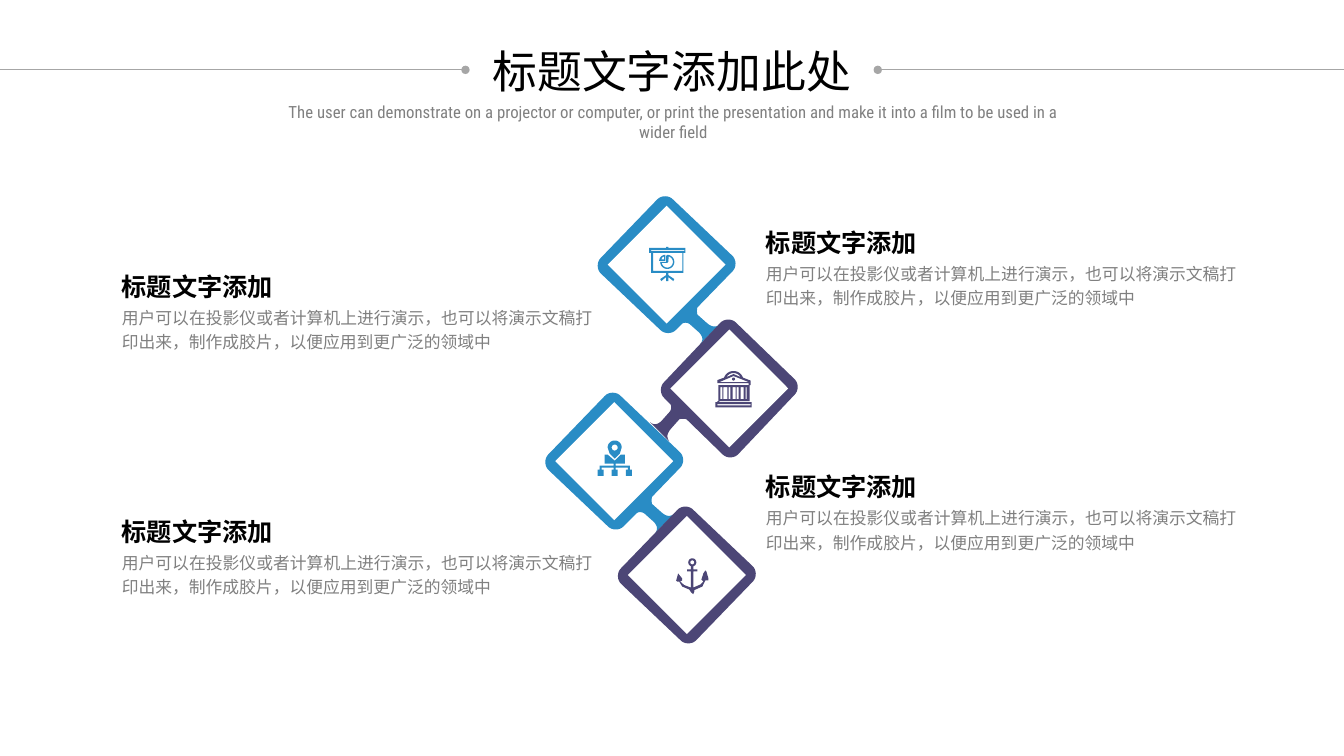
from dataclasses import dataclass
from math import cos, radians, sin
from typing import Optional

from lxml.etree import SubElement
from pptx import Presentation
from pptx.dml.color import RGBColor
from pptx.enum.shapes import MSO_CONNECTOR, MSO_SHAPE
from pptx.enum.text import MSO_AUTO_SIZE as AutoSize, PP_ALIGN as Align
from pptx.oxml.ns import qn
from pptx.util import Cm, Pt

COLORS = {
    "blue": "298CC5", "purple": "4C4676", "white": "FFFFFF",
    "rule": "A6A6A6", "heading": "000000", "body": "808080",
}
UNIT = Cm(2.54) / 100
DIAMOND = Cm(2.97)
SUBTITLE = ("The user can demonstrate on a projector or computer, or print the presentation "
            "and make it into a film to be used in a wider field")
HEADING = "标题文字添加"
BODY = "用户可以在投影仪或者计算机上进行演示，也可以将演示文稿打印出来，制作成胶片，以便应用到更广泛的领域中"

Point = tuple[float, float]
Contour = list[Point]


@dataclass
class Link:
    color: str
    x: float
    y: float
    icon: list[Contour]
    icon_x: float
    icon_y: float
    neck_slide: Optional[float] = None
    quarter_turn: bool = False


@dataclass
class TextStyle:
    size: int
    font: str
    color: str
    align: Align
    bold: bool = False
    spacing: Optional[float] = None
    wrap: bool = True


@dataclass
class Caption:
    x: float
    y: float


@dataclass
class Rule:
    start: float
    dot: float


def rect(left: float, top: float, right: float, bottom: float) -> Contour:
    return [(left, top), (right, top), (right, bottom), (left, bottom)]


def arc(x: float, y: float, radius: float, start: int, end: int) -> Contour:
    return [(x + radius * cos(radians(start + (end - start) * i / 24)),
             y + radius * sin(radians(start + (end - start) * i / 24))) for i in range(25)]


def circle(x: float, y: float, radius: float) -> Contour:
    return arc(x, y, radius, 0, 360)


def bezier(a: Point, b: Point, c: Point, d: Point) -> Contour:
    weights = [((1 - t) ** 3, 3 * t * (1 - t) ** 2, 3 * t * t * (1 - t), t ** 3)
               for t in (i / 8 for i in range(9))]
    return [(sum(w * p[0] for w, p in zip(ws, (a, b, c, d))),
             sum(w * p[1] for w, p in zip(ws, (a, b, c, d)))) for ws in weights]


def frame_outline(link: Link) -> Contour:
    corners = [
        bezier((6.5, -64.5), (2.5, -69), (-5.5, -69), (-9.5, -64.5)),
        bezier((-65.5, -6.5), (-69.5, -2.5), (-69.5, 5.5), (-64.5, 9.5)),
    ]
    half = corners[0] + corners[1]
    outline = half + [(-x, -y) for x, y in half]
    if link.neck_slide is not None:
        neck = (bezier((15.5, 58.5), (17.5, 57), (21.5, 57.5), (23.5, 59.5))
                + bezier((32.5, 67.5), (36, 71.5), (36.5, 75), (33.5, 78.5))
                + bezier((52.5, 59.5), (48.5, 62.5), (44.5, 62), (39.5, 57.5))
                + bezier((30.5, 49.5), (30, 47.5), (30, 44.5), (30.5, 42.5)))
        slid = [(x + link.neck_slide, y - link.neck_slide) for x, y in neck]
        split = len(half) + len(corners[0])
        outline = outline[:split] + slid + outline[split:]
        outline = bottom_right_neck(half, slid)
    return [(-y, x) for x, y in outline] if link.quarter_turn else outline


def bottom_right_neck(half: Contour, neck: Contour) -> Contour:
    opposite = [(-x, -y) for x, y in half]
    middle = len(half) // 2
    return half + opposite[:middle] + neck + opposite[middle:]


def screen_icon() -> list[Contour]:
    return [
        rect(17, 0, 19, 1), rect(0, 1, 36, 6), rect(2, 3, 35, 4),
        rect(2, 6, 34, 26), rect(4, 6, 33, 24),
        [(17, 26), (19, 26), (19, 28), (25, 32), (24, 34), (19, 30),
         (19, 34), (17, 34), (17, 30), (12, 34), (11, 32), (17, 28)],
        arc(18, 15, 7, -90, 180) + [(17, 15), (17, 9)],
        arc(18, 15, 5.6, -75, 170) + [(18, 16), (19, 15)],
        arc(16, 14, 6, 180, 270) + [(16, 14)],
        [(15, 9.5), (15, 12.5), (12, 12.5), (13, 10.5)],
    ]


def network_icon() -> list[Contour]:
    feet = [part for x in (0, 14, 28)
            for part in (rect(x, 29, x + 6, 35), rect(x + 2, 27, x + 4, 29))]
    return feet + [
        arc(17, 7, 7, 180, 360) + [(22, 13), (17, 18), (12, 13)], circle(17, 7, 3),
        [(7, 14), (10, 14), (17, 20), (23, 14), (27, 14), (27, 23), (7, 23)],
        rect(16, 23, 18, 25), rect(2, 25, 32, 27),
    ]


def museum_icon() -> list[Contour]:
    gaps = [(5, 7), (8, 12), (13, 15), (17, 20), (21, 23), (25, 28), (30, 31)]
    return [rect(left, 16, right, 28) for left, right in gaps] + [
        arc(18, 10, 10, 200, 340) + [(35, 9.5), (35, 12), (2, 12), (2, 9)],
        arc(18, 10, 8, 210, 330) + [(18, 3)],
        [(4, 11), (18, 5), (33, 11)], circle(18, 8, 1.5),
        rect(33, 12, 35, 14), rect(3, 14, 34, 30), rect(2, 30, 4, 31),
        rect(0, 31, 36, 36), rect(2, 33, 35, 34),
    ]


def anchor_icon() -> list[Contour]:
    arms = [(1, 23), (0, 22), (2, 15), (6, 20), (6, 22), (4, 23), (8, 26.5), (14.5, 29),
            (17, 29), (24, 26), (27, 23), (25, 21), (27, 15), (29, 12), (30, 13),
            (32, 20), (32, 22), (29, 22), (26, 28), (18, 31.5), (18, 33), (17, 35.5),
            (15, 34), (13, 31), (6, 28), (3, 23)]
    return [circle(16, 4, 4), circle(16, 4, 2), rect(14.5, 8, 17, 29),
            rect(11, 11, 14.5, 13), rect(17, 11, 21, 13), arms]


def paint(shape, color: str) -> None:
    shape.shadow.inherit = False
    shape.fill.solid()
    shape.fill.fore_color.rgb = RGBColor.from_string(COLORS[color])
    shape.line.fill.background()


def draw_contours(shapes, contours: list[Contour], x: float, y: float, color: str) -> None:
    placed = [[(Cm(x) + px * UNIT, Cm(y) + py * UNIT) for px, py in c] for c in contours]
    builder = shapes.build_freeform(*placed[0][0], scale=1.0)
    builder.add_line_segments(placed[0][1:], close=True)
    for contour in placed[1:]:
        builder.move_to(*contour[0])
        builder.add_line_segments(contour[1:], close=True)
    paint(builder.convert_to_shape(), color)


def draw_diamond(shapes, link: Link) -> None:
    left, top = Cm(link.x) - DIAMOND // 2, Cm(link.y) - DIAMOND // 2
    paint(shapes.add_shape(MSO_SHAPE.DIAMOND, left, top, DIAMOND, DIAMOND), "white")


def draw_rule(shapes, rule: Rule) -> None:
    line = shapes.add_connector(MSO_CONNECTOR.STRAIGHT, Cm(rule.start), Cm(1.76),
                                Cm(rule.dot), Cm(1.76))
    line.line.color.rgb = RGBColor.from_string(COLORS["rule"])
    line.line.width = Pt(0.5)
    SubElement(line.line._get_or_add_ln(), qn("a:tailEnd"), type="oval")
    SubElement(line._element.spPr, qn("a:effectLst"))


def draw_text(shapes, text: str, x: float, y: float, width: float, height: float,
              style: TextStyle) -> None:
    frame = shapes.add_textbox(Cm(x), Cm(y), Cm(width), Cm(height)).text_frame
    frame.word_wrap = style.wrap
    frame.auto_size = AutoSize.SHAPE_TO_FIT_TEXT
    paragraph = frame.paragraphs[0]
    paragraph.text = text
    paragraph.alignment = style.align
    paragraph.line_spacing = style.spacing
    font = paragraph.font
    font.name, font.size, font.bold = style.font, Pt(style.size), style.bold
    font.color.rgb = RGBColor.from_string(COLORS[style.color])


TITLE_STYLE = TextStyle(32, "Roboto Condensed", "heading", Align.CENTER, wrap=False)
SUBTITLE_STYLE = TextStyle(12, "Roboto Condensed", "body", Align.CENTER)
HEADING_STYLE = TextStyle(18, "Arial", "heading", Align.JUSTIFY, bold=True, spacing=1.2)
BODY_STYLE = TextStyle(12, "Arial", "body", Align.JUSTIFY, spacing=1.2)
LINKS = [
    Link("blue", 16.8, 6.67, screen_icon(), 16.36, 6.22, neck_slide=0),
    Link("blue", 15.48, 11.62, network_icon(), 15.06, 11.1, neck_slide=7),
    Link("purple", 17.31, 14.49, anchor_icon(), 17.04, 14.07),
    Link("purple", 18.38, 9.79, museum_icon(), 18.03, 9.35, neck_slide=0, quarter_turn=True),
]
CAPTIONS = [Caption(19.05, 5.44), Caption(19.05, 11.61),
            Caption(2.82, 6.55), Caption(2.82, 12.73)]
RULES = [Rule(0, 11.73), Rule(33.87, 22.12)]


def main() -> None:
    deck = Presentation()
    deck.slide_width, deck.slide_height = Cm(33.87), Cm(19.05)
    shapes = deck.slides.add_slide(deck.slide_layouts[6]).shapes
    for link in LINKS:
        draw_contours(shapes, [frame_outline(link)], link.x, link.y, link.color)
    for link in LINKS:
        draw_diamond(shapes, link)
        draw_contours(shapes, link.icon, link.icon_x, link.icon_y, link.color)
    for rule in RULES:
        draw_rule(shapes, rule)
    draw_text(shapes, "标题文字添加此处", 12.12, 0.97, 9.63, 1.63, TITLE_STYLE)
    draw_text(shapes, SUBTITLE, 6.99, 2.44, 19.96, 0.76, SUBTITLE_STYLE)
    for caption in CAPTIONS:
        draw_text(shapes, BODY, caption.x, caption.y + 0.97, 12.37, 1.5, BODY_STYLE)
        draw_text(shapes, HEADING, caption.x, caption.y, 5.79, 1.19, HEADING_STYLE)
    deck.save("out.pptx")


if __name__ == "__main__":
    main()
